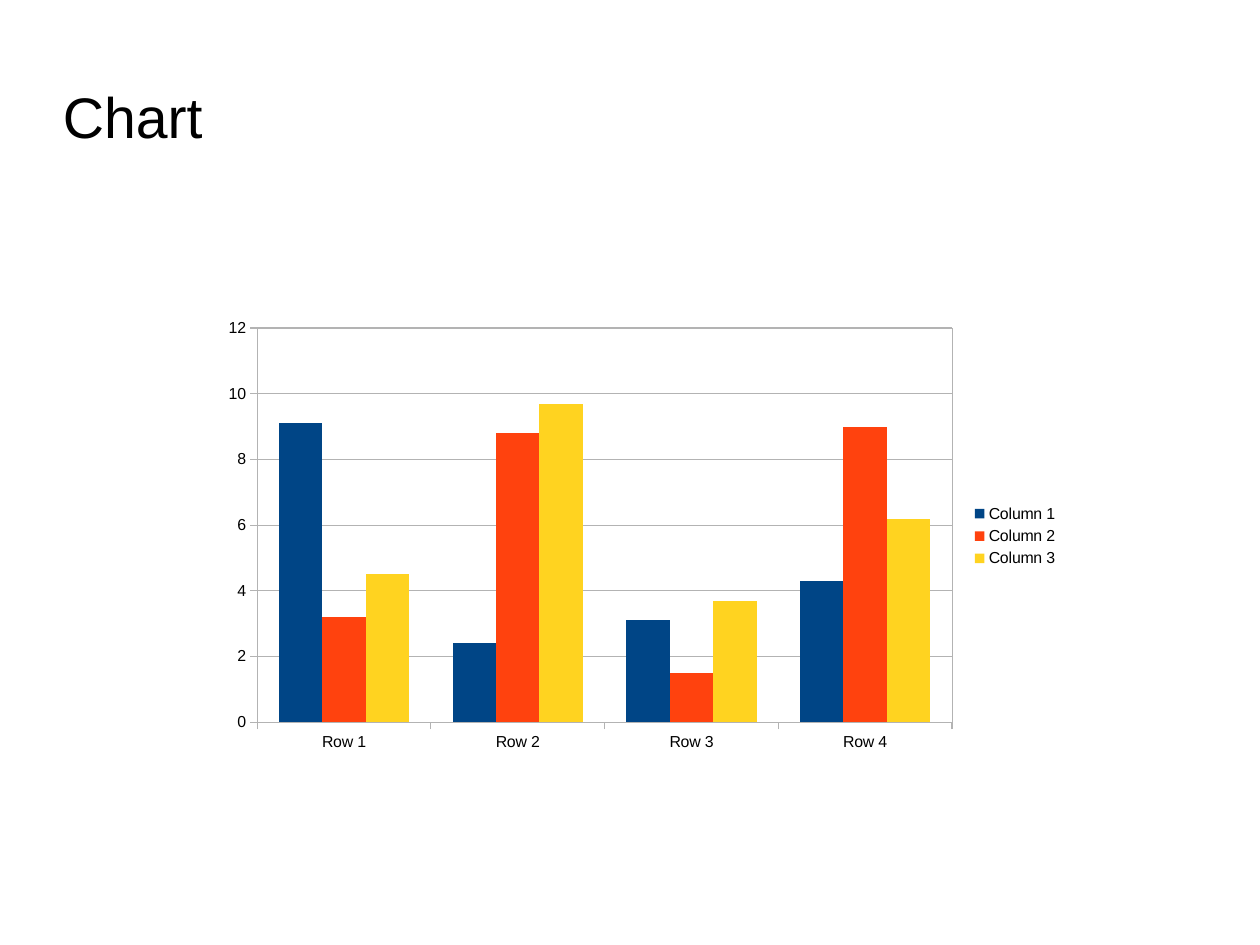
from lxml import etree
from pptx import Presentation
from pptx.chart.data import CategoryChartData
from pptx.dml.color import RGBColor
from pptx.enum import chart as ch, text
from pptx.oxml import parse_xml
from pptx.oxml.ns import nsdecls, qn
from pptx.util import Cm, Inches, Pt

SLIDE_SIZE = (Cm(28), Cm(21))
TITLE = "Chart"
ROWS = ["Row 1", "Row 2", "Row 3", "Row 4"]
COLUMNS = {
    "Column 1": (9.1, 2.4, 3.1, 4.3),
    "Column 2": (3.2, 8.8, 1.5, 9),
    "Column 3": (4.5, 9.7, 3.7, 6.2),
}
TITLE_BOX = (0.55, 0.63, 7.87, 0.79)
CHART_BOX = (1.85, 2.72, 7.51, 3.94)
PLOT_BOX = (2.25, 2.87, 6.08, 3.45)
THEME = {
    "font": "Arial",
    "title": Pt(36),
    "label": Pt(10),
    "ink": RGBColor.from_string("000000"),
    "rule": RGBColor.from_string("B3B3B3"),
    "columns": ("004586", "FF420E", "FFD320"),
}


def set_font(font, size):
    font.name = THEME["font"]
    font.size = size
    font.color.rgb = THEME["ink"]


def set_rule(line):
    line.color.rgb = THEME["rule"]
    line.width = 0


def add_title(slide):
    title = slide.shapes.add_textbox(*map(Inches, TITLE_BOX))
    frame = title.text_frame
    frame.word_wrap = True
    frame.vertical_anchor = text.MSO_ANCHOR.MIDDLE
    frame.margin_left = frame.margin_right = frame.margin_bottom = 0
    frame.margin_top = Inches(0.03)
    frame.text = TITLE
    frame.paragraphs[0].line_spacing = 0.94
    set_font(frame.paragraphs[0].runs[0].font, THEME["title"])


def frame_plot(chart):
    """Fix the inner plot rectangle and give it a thin border."""
    area = chart._chartSpace.find(".//" + qn("c:plotArea"))
    for layout in area.findall(qn("c:layout")):
        area.remove(layout)
    layout = etree.Element(qn("c:layout"))
    manual = etree.SubElement(layout, qn("c:manualLayout"))
    left, top, width, height = CHART_BOX
    plot_left, plot_top, plot_width, plot_height = PLOT_BOX
    settings = {
        "layoutTarget": "inner", "xMode": "edge", "yMode": "edge",
        "x": (plot_left - left) / width, "y": (plot_top - top) / height,
        "w": plot_width / width, "h": plot_height / height,
    }
    for tag, value in settings.items():
        etree.SubElement(manual, qn("c:" + tag)).set("val", str(value))
    area.insert(0, layout)
    area.append(parse_xml(
        f'<c:spPr {nsdecls("c", "a")}><a:noFill/><a:ln w="0"><a:solidFill>'
        f'<a:srgbClr val="{THEME["rule"]}"/></a:solidFill></a:ln></c:spPr>'))


def add_column_chart(slide):
    data = CategoryChartData()
    data.categories = ROWS
    for name, values in COLUMNS.items():
        data.add_series(name, values)
    chart = slide.shapes.add_chart(
        ch.XL_CHART_TYPE.COLUMN_CLUSTERED, *map(Inches, CHART_BOX), data).chart
    chart.has_title = False
    set_font(chart.font, THEME["label"])

    plot = chart.plots[0]
    plot.vary_by_categories = False
    plot.gap_width = 100
    plot.overlap = 0
    for series, color in zip(plot.series, THEME["columns"]):
        series.format.fill.solid()
        series.format.fill.fore_color.rgb = RGBColor.from_string(color)
        series.format.line.fill.background()
        series.invert_if_negative = False

    for axis in (chart.category_axis, chart.value_axis):
        axis.major_tick_mark = ch.XL_TICK_MARK.OUTSIDE
        axis.minor_tick_mark = ch.XL_TICK_MARK.NONE
        set_font(axis.tick_labels.font, THEME["label"])
        set_rule(axis.format.line)
    scale = chart.value_axis
    scale.minimum_scale, scale.maximum_scale, scale.major_unit = 0, 12, 2
    scale.has_major_gridlines = True
    set_rule(scale.major_gridlines.format.line)

    chart.has_legend = True
    chart.legend.position = ch.XL_LEGEND_POSITION.RIGHT
    chart.legend.include_in_layout = False
    set_font(chart.legend.font, THEME["label"])
    frame_plot(chart)


def main():
    deck = Presentation()
    deck.slide_width, deck.slide_height = SLIDE_SIZE
    slide = deck.slides.add_slide(deck.slide_layouts[6])
    add_title(slide)
    add_column_chart(slide)
    deck.save("out.pptx")


if __name__ == "__main__":
    main()
